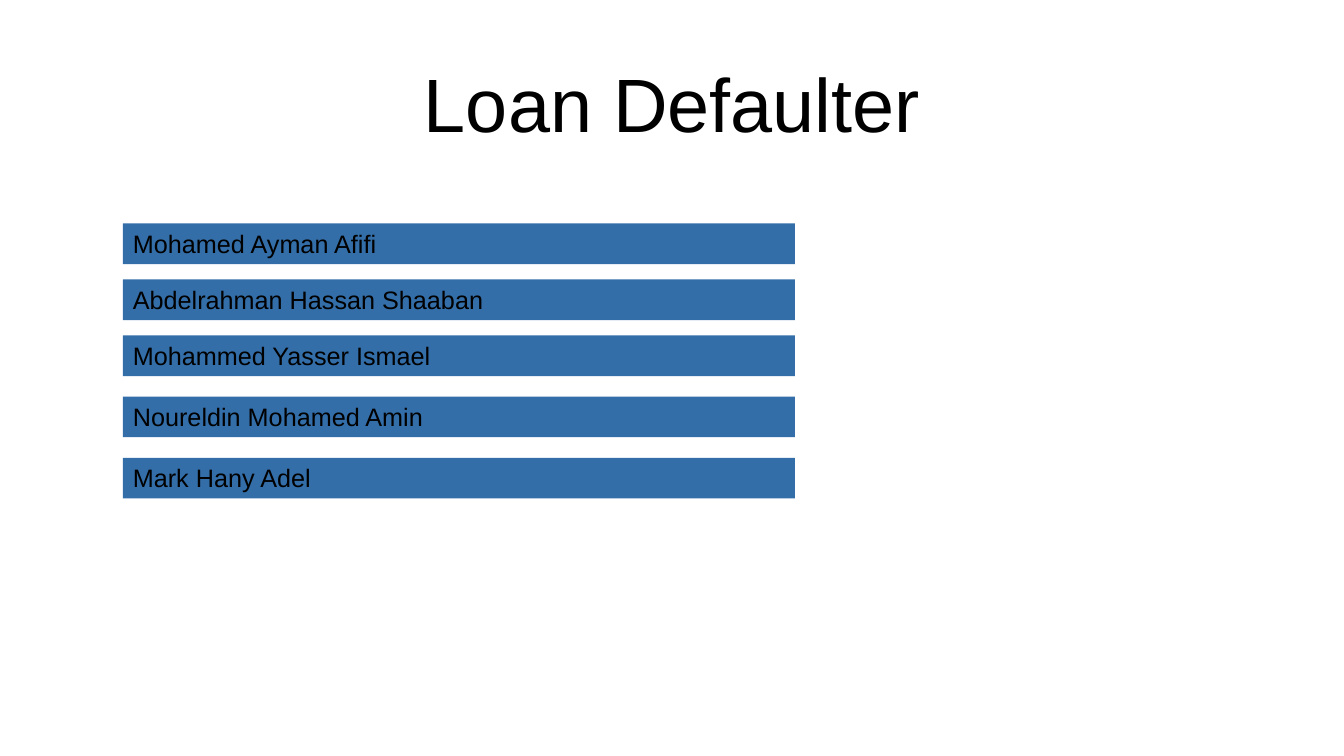
from itertools import accumulate

from pptx import Presentation
from pptx import util as u
from pptx.dml.color import RGBColor
from pptx.enum import shapes, text

BLACK = RGBColor(0x00, 0x00, 0x00)
BLUE = RGBColor(0x33, 0x6E, 0xA8)

MEMBERS = [
    "Mohamed Ayman Afifi",
    "Abdelrahman Hassan Shaaban",
    "Mohammed Yasser Ismael",
    "Noureldin Mohamed Amin",
    "Mark Hany Adel",
]


class SlideBuilder:
    """Places elements by percentages of the slide's width and height."""

    font = "Arial"

    def __init__(self, presentation):
        self.width = presentation.slide_width
        self.height = presentation.slide_height
        self.slide = presentation.slides.add_slide(presentation.slide_layouts[5])

    def box(self, left, top, width, height):
        return (
            u.Emu(round(self.width * left / 100)),
            u.Emu(round(self.height * top / 100)),
            u.Emu(round(self.width * width / 100)),
            u.Emu(round(self.height * height / 100)),
        )

    def set_text(self, shape, wording, size, alignment, anchor, auto_size):
        frame = shape.text_frame
        frame.text = wording
        frame.word_wrap = True
        frame.auto_size = auto_size
        frame.vertical_anchor = anchor
        paragraph = frame.paragraphs[0]
        paragraph.alignment = alignment
        font = paragraph.runs[0].font
        font.name = self.font
        font.size = u.Pt(size)
        font.color.rgb = BLACK
        return paragraph

    def title(self, wording, *place):
        shape = self.slide.shapes.title
        shape.left, shape.top, shape.width, shape.height = self.box(*place)
        paragraph = self.set_text(shape, wording, 54, text.PP_ALIGN.CENTER,
                                  text.MSO_ANCHOR.BOTTOM, text.MSO_AUTO_SIZE.NONE)
        paragraph.line_spacing = 0.9

    def bar(self, wording, *place):
        shape = self.slide.shapes.add_shape(
            shapes.MSO_SHAPE.RECTANGLE, *self.box(*place))
        shape.shadow.inherit = False
        shape.fill.solid()
        shape.fill.fore_color.rgb = BLUE
        shape.line.fill.background()
        self.set_text(shape, wording, 18, text.PP_ALIGN.LEFT,
                      text.MSO_ANCHOR.TOP, text.MSO_AUTO_SIZE.SHAPE_TO_FIT_TEXT)


def main():
    presentation = Presentation()
    presentation.slide_width = u.Inches(13.33)
    presentation.slide_height = u.Inches(7.5)
    builder = SlideBuilder(presentation)

    # Title
    builder.title("Loan Defaulter", 12.5, 7.33, 75, 13.07)

    # Team members: the last two bars stand slightly further apart
    tops = accumulate([29.55, 7.4, 7.4, 8.1, 8.1])
    for member, top in zip(MEMBERS, tops):
        builder.bar(member, 9.15, top, 50, 5.39)

    presentation.save("out.pptx")


if __name__ == "__main__":
    main()
